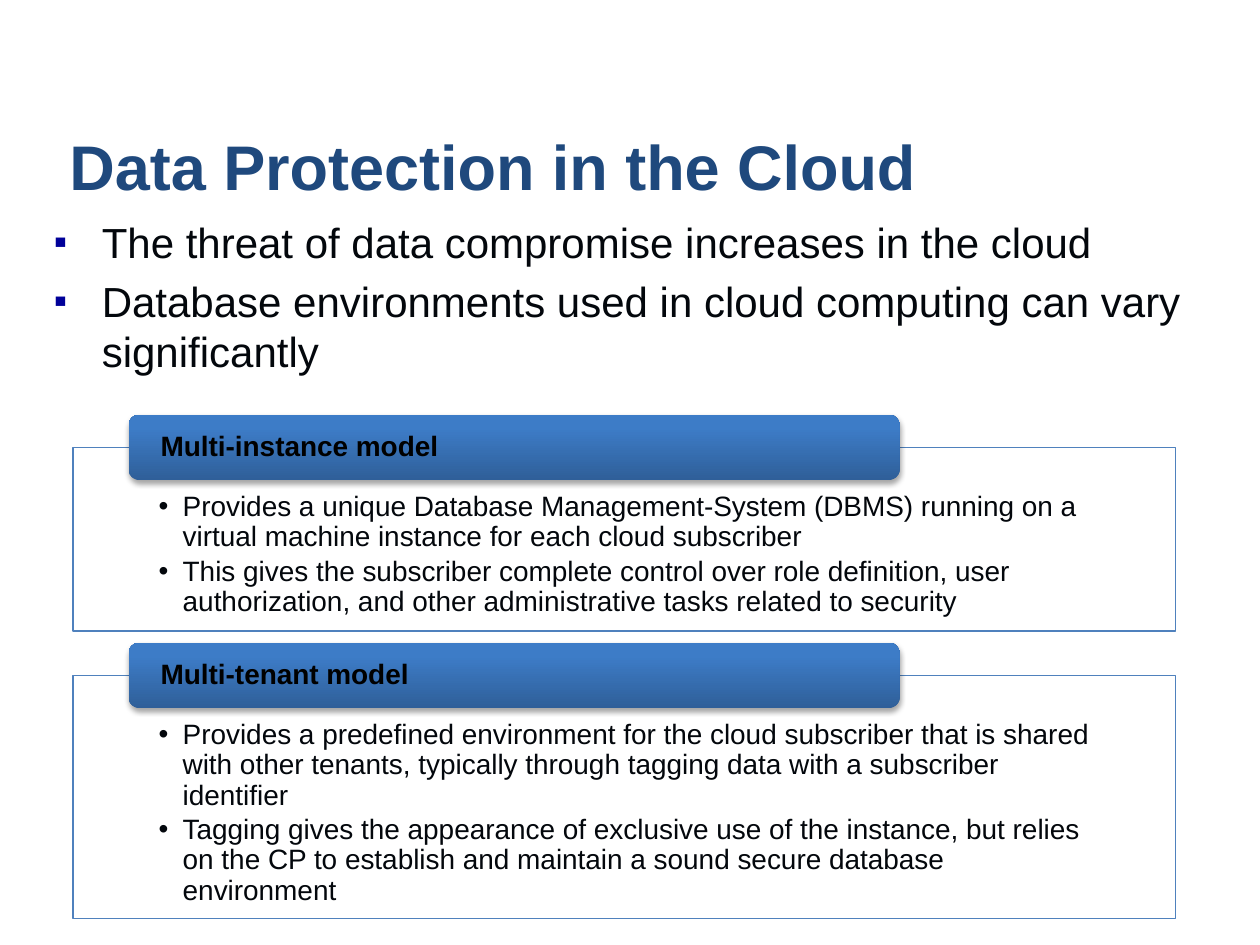
from lxml import etree
from pptx import Presentation
from pptx.dml.color import RGBColor
from pptx.enum.shapes import MSO_SHAPE
from pptx.enum.text import MSO_ANCHOR, PP_ALIGN
from pptx.oxml import parse_xml
from pptx.oxml.ns import nsdecls, qn
from pptx.util import Inches, Pt

RECT, ROUNDED = MSO_SHAPE.RECTANGLE, MSO_SHAPE.ROUNDED_RECTANGLE
TOP, MIDDLE, BOTTOM = MSO_ANCHOR.TOP, MSO_ANCHOR.MIDDLE, MSO_ANCHOR.BOTTOM
LEFT = PP_ALIGN.LEFT
INK = "03070C"
SHADOW = (f'<a:effectLst {nsdecls("a")}><a:outerShdw blurRad="39370" dist="22860" dir="5400000" '
          'rotWithShape="0"><a:srgbClr val="000000"><a:alpha val="35000"/></a:srgbClr>'
          '</a:outerShdw></a:effectLst>')


def rgb(value):
    return RGBColor.from_string(value)


def add_bullets(tf, lines, size, char, indent, color=None, percent=None):
    tf.text = "\n".join(lines)
    for p in tf.paragraphs:
        p.alignment = LEFT
        pPr = p._p.get_or_add_pPr()
        pPr.set("marL", str(Inches(indent)))
        pPr.set("indent", str(-Inches(indent)))
        if color:
            bu = etree.SubElement(pPr, qn("a:buClr"))
            etree.SubElement(bu, qn("a:srgbClr"), val=color)
        if percent:
            etree.SubElement(pPr, qn("a:buSzPct"), val=str(percent * 1000))
        etree.SubElement(pPr, qn("a:buFont"), typeface="Arial")
        etree.SubElement(pPr, qn("a:buChar"), char=char)
        font = p.runs[0].font
        font.name, font.size = "Arial", Pt(size)
        font.color.rgb = rgb(INK)


prs = Presentation()
prs.slide_width, prs.slide_height = Inches(10), Inches(7.5)
s = prs.slides.add_slide(prs.slide_layouts[5])

title = s.shapes.title
title.left, title.top, title.width, title.height = map(Inches, (0.45, 1.13, 9.21, 0.53))
tf = title.text_frame
tf.text = "Data Protection in the Cloud"
tf.vertical_anchor = BOTTOM
p = tf.paragraphs[0]
p.alignment = LEFT
font = p.runs[0].font
font.name, font.size, font.bold = "Arial", Pt(36), True
font.color.rgb = rgb("1F497D")

intro = s.shapes.add_textbox(Inches(0.33), Inches(1.67), Inches(9.33), Inches(1.5))
tf = intro.text_frame
tf.word_wrap = True
add_bullets(tf, [
    "The threat of data compromise increases in the cloud",
    "Database environments used in cloud computing can vary significantly",
], 24, "▪", 0.38, "000099", 90)
tf.paragraphs[1].space_before = Pt(4.8)

models = [
    ("Multi-instance model", 3.55, 1.46, [
        "Provides a unique Database Management-System (DBMS) running on a virtual machine "
        "instance for each cloud subscriber",
        "This gives the subscriber complete control over role definition, user authorization, "
        "and other administrative tasks related to security",
    ]),
    ("Multi-tenant model", 5.36, 1.93, [
        "Provides a predefined environment for the cloud subscriber that is shared with other "
        "tenants, typically through tagging data with a subscriber identifier",
        "Tagging gives the appearance of exclusive use of the instance, but relies on the CP "
        "to establish and maintain a sound secure database environment",
    ]),
]

for name, top, height, lines in models:
    panel = s.shapes.add_shape(RECT, Inches(0.58), Inches(top), Inches(8.75), Inches(height))
    panel.shadow.inherit = False
    panel.fill.solid()
    panel.fill.fore_color.rgb = rgb("FFFFFF")
    panel.line.color.rgb = rgb("4F81BD")
    panel.line.width = Pt(0.75)
    tf = panel.text_frame
    tf.word_wrap = True
    tf.vertical_anchor = TOP
    tf.margin_left = tf.margin_right = Inches(0.68)
    tf.margin_top, tf.margin_bottom = Inches(0.36), Inches(0.12)
    add_bullets(tf, lines, 16, "•", 0.19)
    for p in tf.paragraphs:
        p.line_spacing = 0.9
        p.space_after = Pt(2.4)

    header = s.shapes.add_shape(ROUNDED, Inches(1.02), Inches(top - 0.26), Inches(6.12), Inches(0.52))
    header.line.fill.background()
    header.fill.gradient()
    header.fill.gradient_angle = 90
    for stop, position, color in zip(header.fill.gradient_stops, (0, 0.8), ("2F5F99", "3D7CC7")):
        stop.position = position
        stop.color.rgb = rgb(color)
    header._element.spPr.append(parse_xml(SHADOW))
    tf = header.text_frame
    tf.text = name
    tf.word_wrap = True
    tf.vertical_anchor = MIDDLE
    tf.margin_left = tf.margin_right = Inches(0.23)
    tf.margin_top = tf.margin_bottom = 0
    p = tf.paragraphs[0]
    p.alignment = LEFT
    p.line_spacing = 0.9
    font = p.runs[0].font
    font.name, font.size, font.bold = "Arial", Pt(16), True
    font.color.rgb = rgb("000000")

prs.save("out.pptx")
